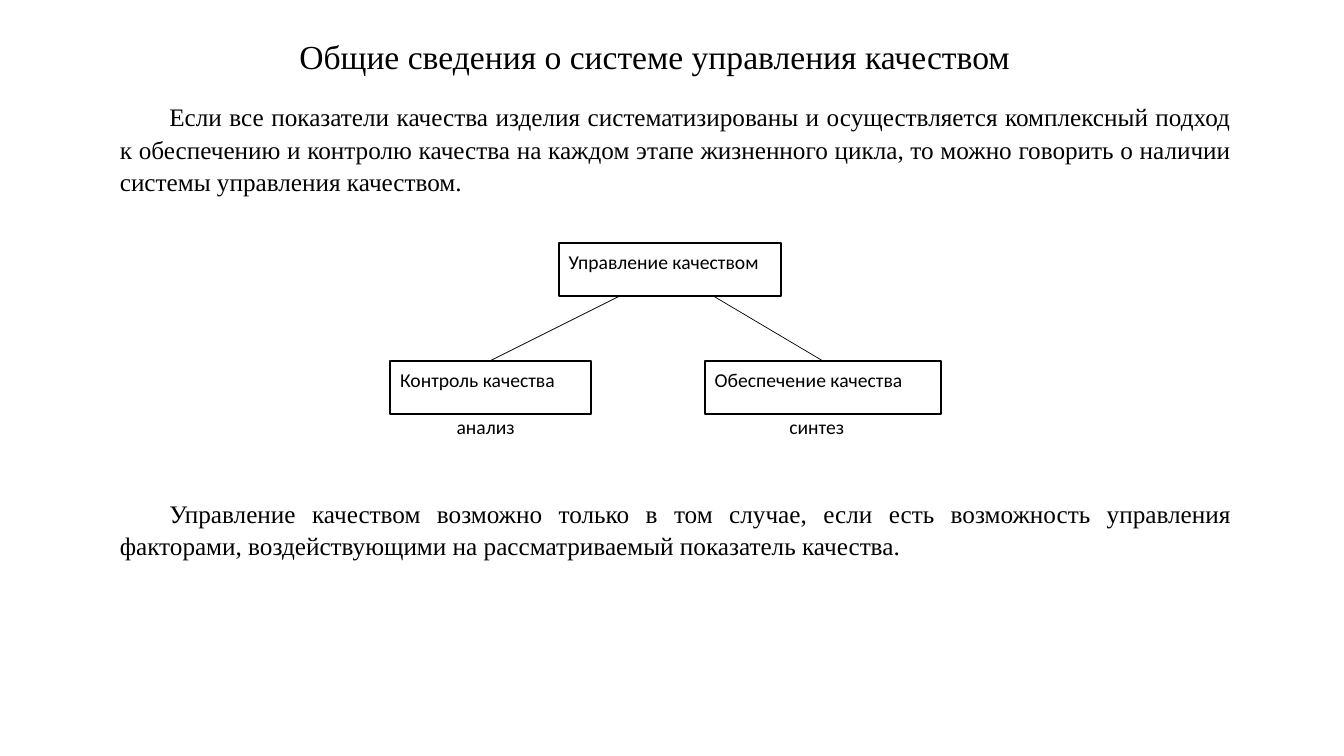
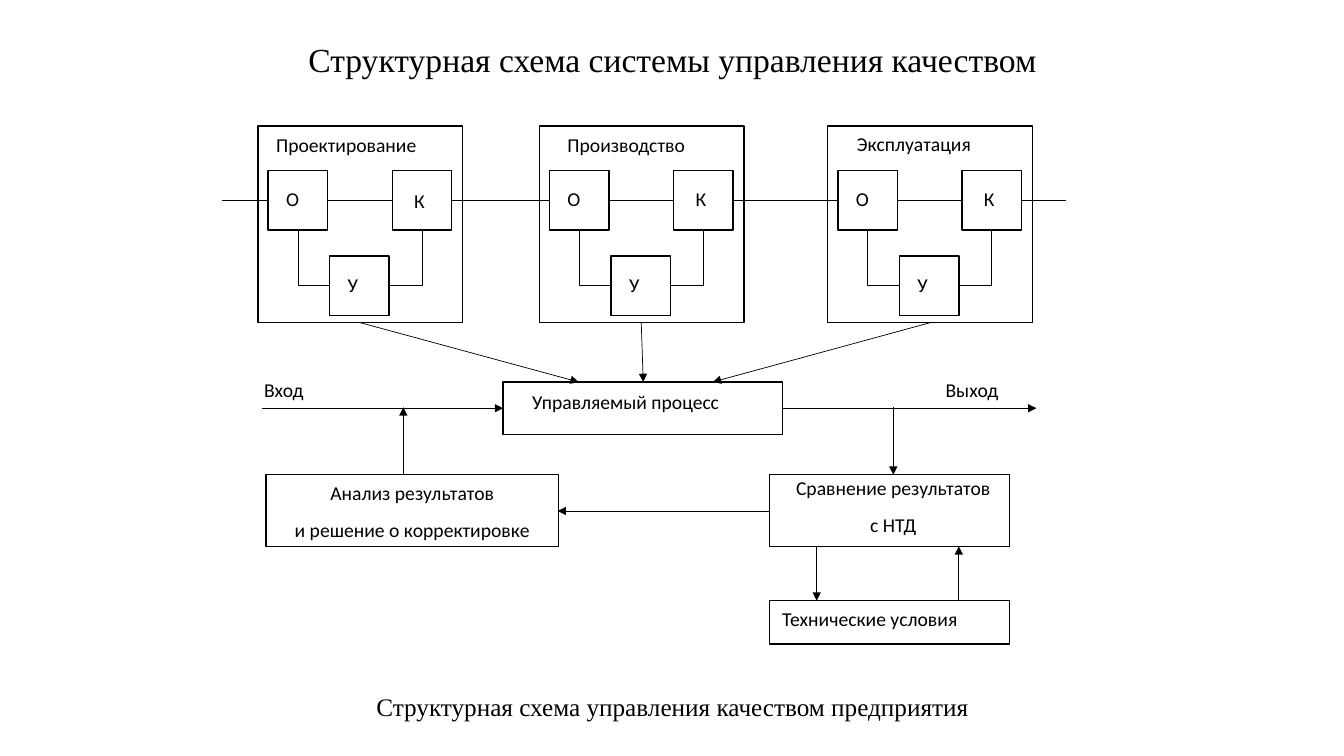
"""Builds two slides on quality management systems."""
from dataclasses import dataclass

from lxml import etree
from pptx import Presentation
from pptx.dml.color import RGBColor
from pptx.enum.shapes import MSO_CONNECTOR, MSO_SHAPE
from pptx.enum.text import PP_ALIGN
from pptx.oxml.ns import qn
from pptx.util import Inches, Pt

RECT = MSO_SHAPE.RECTANGLE
LINE, ELBOW = MSO_CONNECTOR.STRAIGHT, MSO_CONNECTOR.ELBOW
LEFT, MID, FULL = PP_ALIGN.LEFT, PP_ALIGN.CENTER, PP_ALIGN.JUSTIFY
SERIF, SANS = "Times New Roman", "Calibri"
BLACK, WHITE = "000000", "FFFFFF"
ON_LEFT, ON_FOOT, ON_RIGHT = 1, 2, 3


@dataclass(frozen=True)
class Style:
    font: str
    size: int
    align: PP_ALIGN = LEFT
    gap: float = 1.07
    after: int = 8
    indent: float = 0


@dataclass(frozen=True)
class Area:
    x: float
    y: float
    w: float
    h: float


@dataclass(frozen=True)
class Label:
    area: Area
    text: str
    style: Style


@dataclass(frozen=True)
class Link:
    x1: float
    y1: float
    x2: float
    y2: float
    arrow: bool = True


@dataclass(frozen=True)
class Stage:
    x: float
    name: Label
    check_y: float = 1.79


HEAD = Style(SERIF, 24, gap=1, after=0)
HEAD_MID = Style(SERIF, 24, MID)
BODY = Style(SERIF, 18, FULL, indent=0.49)
FOOT = Style(SERIF, 18, MID)
NOTE = Style(SANS, 14)
NOTE_MID = Style(SANS, 14, MID)
TITLE = Area(2.87, 0.31, 7.6, 0.5)
CELL = 0.59
AXIS = 1.99

TREE = [
    Label(Area(5.54, 2.41, 2.21, 0.53), "Управление качеством", NOTE),
    Label(Area(3.87, 3.58, 1.99, 0.53), "Контроль качества", NOTE),
    Label(Area(6.99, 3.58, 2.34, 0.53), "Обеспечение качества", NOTE),
]
TREE_LINKS = [
    Link(6.14, 2.94, 4.86, 3.58, False),
    Link(7.08, 2.94, 8.16, 3.58, False),
]
TREE_TEXT = [
    Label(Area(1.09, 0.94, 11.22, 1.06),
          "Если все показатели качества изделия систематизированы и "
          "осуществляется комплексный подход к обеспечению и контролю качества "
          "на каждом этапе жизненного цикла, то можно говорить о наличии "
          "системы управления качеством.", BODY),
    Label(Area(1.09, 4.87, 11.22, 0.73),
          "Управление качеством возможно только в том случае, если есть "
          "возможность управления факторами, воздействующими на "
          "рассматриваемый показатель качества.", BODY),
    Label(Area(4.43, 4.05, 0.85, 0.64), "анализ", NOTE),
    Label(Area(7.73, 4.05, 0.87, 0.64), "синтез", NOTE),
]

STAGES = [
    Stage(2.56, Label(Area(2.64, 1.25, 1.95, 0.54), "Проектирование", NOTE), 1.81),
    Stage(5.35, Label(Area(5.53, 1.25, 1.69, 0.54), "Производство", NOTE)),
    Stage(8.21, Label(Area(8.4, 1.24, 1.65, 0.54), "Эксплуатация", NOTE)),
]
FLOW = [
    Area(4.99, 3.79, 2.77, 0.52),
    Area(2.64, 4.71, 2.9, 0.71),
    Area(7.63, 4.71, 2.38, 0.71),
    Area(7.63, 5.96, 2.38, 0.43),
]
FLOW_LINKS = [
    Link(2.2, AXIS, 2.66, AXIS, False),
    Link(4.48, AXIS, 5.45, AXIS, False),
    Link(7.27, AXIS, 8.31, AXIS, False),
    Link(10.13, AXIS, 10.57, AXIS, False),
    Link(3.57, 3.2, 5.74, 3.79),
    Link(6.36, 3.2, 6.38, 3.79),
    Link(9.23, 3.2, 7.07, 3.79),
    Link(2.6, 4.05, 4.99, 4.05),
    Link(7.76, 4.05, 10.28, 4.05),
    Link(4, 4.71, 4, 4.04),
    Link(8.86, 4.04, 8.86, 4.71),
    Link(7.63, 5.07, 5.53, 5.07),
    Link(8.1, 5.42, 8.1, 5.96),
    Link(9.51, 5.96, 9.51, 5.42),
]
FLOW_TEXT = [
    Label(Area(1.06, 6.79, 11.22, 0.41),
          "Структурная схема управления качеством предприятия", FOOT),
    Label(Area(5.18, 3.8, 2.51, 0.45), "Управляемый процесс", NOTE),
    Label(Area(2.56, 4.71, 3.06, 0.77),
          "Анализ результатов\nи решение о корректировке", NOTE_MID),
    Label(Area(7.56, 4.66, 2.6, 0.77), "Сравнение результатов\nс НТД", NOTE_MID),
    Label(Area(7.66, 5.96, 2.38, 0.48), "Технические условия", NOTE),
    Label(Area(2.52, 3.68, 0.78, 0.48), "Вход", NOTE),
    Label(Area(9.28, 3.68, 0.94, 0.48), "Выход", NOTE),
]


def color(code: str) -> RGBColor:
    return RGBColor.from_string(code)


def place(area: Area) -> tuple:
    return Inches(area.x), Inches(area.y), Inches(area.w), Inches(area.h)


def write(frame, text: str, style: Style) -> None:
    frame.word_wrap = True
    for i, part in enumerate(text.split("\n")):
        para = frame.add_paragraph() if i else frame.paragraphs[0]
        para.alignment = style.align
        para.line_spacing = style.gap
        para.space_after = Pt(style.after)
        if style.indent:
            para._p.get_or_add_pPr().set("indent", str(Inches(style.indent)))
        run = para.add_run()
        run.text = part
        run.font.name = style.font
        run.font.size = Pt(style.size)
        run.font.color.rgb = color(BLACK)


def add_text(slide, label: Label) -> None:
    box = slide.shapes.add_textbox(*place(label.area))
    write(box.text_frame, label.text, label.style)


def add_box(slide, area: Area, width: float = 1, fill: bool = True):
    box = slide.shapes.add_shape(RECT, *place(area))
    box.shadow.inherit = False
    if fill:
        box.fill.solid()
        box.fill.fore_color.rgb = color(WHITE)
    else:
        box.fill.background()
    box.line.color.rgb = color(BLACK)
    box.line.width = Pt(width)
    return box


def add_link(slide, link: Link, kind: MSO_CONNECTOR = LINE):
    ends = (Inches(n) for n in (link.x1, link.y1, link.x2, link.y2))
    wire = slide.shapes.add_connector(kind, *ends)
    wire.line.color.rgb = color(BLACK)
    wire.line.width = Pt(0.5)
    props = wire._element.spPr
    if link.arrow:
        tail = etree.SubElement(wire.line._get_or_add_ln(), qn("a:tailEnd"))
        tail.set("type", "triangle")
    etree.SubElement(props, qn("a:effectLst"))
    return wire


def add_bend(slide, start, side: int, stop) -> None:
    wire = add_link(slide, Link(0, 0, 1, 1, False), ELBOW)
    wire._element.spPr.find(qn("a:prstGeom")).set("prst", "bentConnector2")
    wire.begin_connect(start, side)
    wire.end_connect(stop, ON_FOOT)


def add_stage(slide, stage: Stage) -> None:
    x = stage.x
    add_box(slide, Area(x, 1.25, 2.03, 1.95), fill=False)
    item = add_box(slide, Area(x + 0.1, 1.69, CELL, CELL))
    check = add_box(slide, Area(x + 1.33, 1.69, CELL, CELL))
    drive = add_box(slide, Area(x + 0.71, 2.54, CELL, CELL))
    add_bend(slide, drive, ON_LEFT, item)
    add_bend(slide, drive, ON_RIGHT, check)
    add_link(slide, Link(x + 0.69, AXIS, x + 1.33, AXIS, False))
    add_text(slide, stage.name)
    marks = [("O", 0.18, 1.79), ("К", 1.45, stage.check_y), ("У", 0.79, 2.64)]
    for mark, shift, y in marks:
        add_text(slide, Label(Area(x + shift, y, 0.45, 0.4), mark, NOTE))


def add_page(deck, title: str, style: Style):
    slide = deck.slides.add_slide(deck.slide_layouts[6])
    add_text(slide, Label(TITLE, title, style))
    return slide


def draw_tree(deck) -> None:
    slide = add_page(deck, "Общие сведения о системе управления качеством", HEAD)
    for node in TREE:
        box = add_box(slide, node.area, 1.5)
        box.text_frame.vertical_anchor = None
        write(box.text_frame, node.text, node.style)
    for link in TREE_LINKS:
        add_link(slide, link)
    for label in TREE_TEXT:
        add_text(slide, label)


def draw_flow(deck) -> None:
    slide = add_page(deck, "Структурная схема системы управления качеством", HEAD_MID)
    for stage in STAGES:
        add_stage(slide, stage)
    for area in FLOW:
        add_box(slide, area)
    for link in FLOW_LINKS:
        add_link(slide, link)
    for label in FLOW_TEXT:
        add_text(slide, label)


def main() -> None:
    deck = Presentation()
    deck.slide_width, deck.slide_height = Inches(13.33), Inches(7.5)
    draw_tree(deck)
    draw_flow(deck)
    deck.save("out.pptx")


if __name__ == "__main__":
    main()
